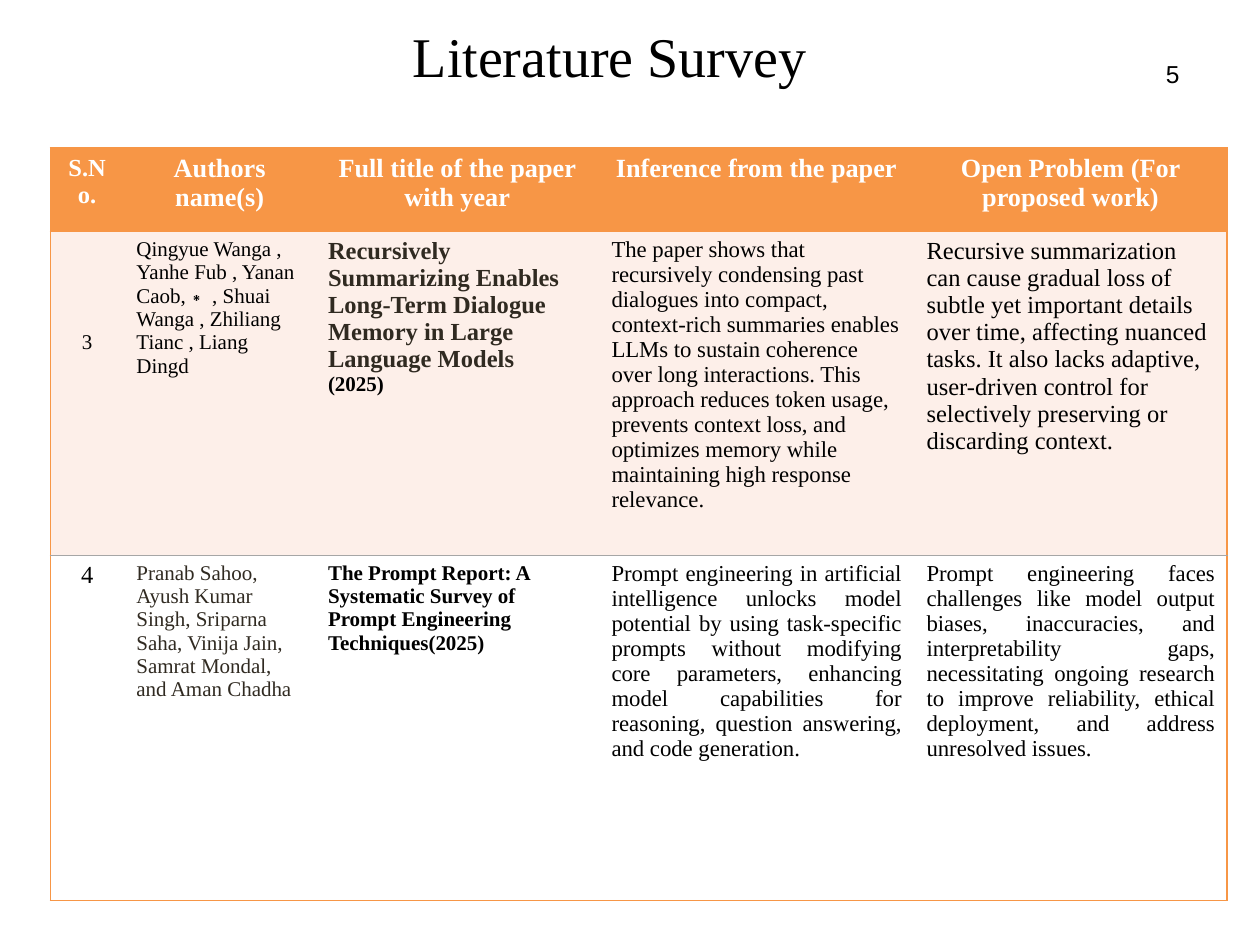
import dataclasses

import lxml.etree
import pptx
import pptx.dml.color
import pptx.enum.text
import pptx.oxml.ns
import pptx.util

Pt = pptx.util.Pt
ALIGN = pptx.enum.text.PP_ALIGN
ANCHOR = pptx.enum.text.MSO_ANCHOR


@dataclasses.dataclass(frozen=True)
class Theme:
    serif: str = "Times New Roman"
    sans: str = "Arial"
    black: str = "000000"
    white: str = "FFFFFF"
    brown: str = "302A21"
    orange: str = "F79646"
    blush: str = "FDEFE9"
    grey: str = "A6A6A6"
    title: int = 32
    heading: int = 15
    large: int = 14
    medium: int = 13
    small: int = 12


THEME = Theme()


@dataclasses.dataclass(frozen=True)
class Words:
    text: str
    size: int = THEME.small
    color: str = THEME.black
    bold: bool = False
    align: ALIGN = ALIGN.LEFT
    font: str = THEME.serif


HEADINGS = [
    Words(text, size, THEME.white, True, ALIGN.CENTER)
    for text, size in [
        ("S.No.", THEME.large),
        ("Authors name(s)", THEME.heading),
        ("Full title of the paper with year", THEME.heading),
        ("Inference from the paper", THEME.heading),
        ("Open Problem (For proposed work)", THEME.heading),
    ]
]
PAPERS = [
    [
        [Words("3", align=ALIGN.CENTER)],
        [Words("Qingyue Wanga , Yanhe Fub , Yanan Caob,∗ , Shuai Wanga , Zhiliang Tianc , Liang Dingd")],
        [
            Words("Recursively Summarizing Enables Long-Term Dialogue Memory in Large Language Models",
                  THEME.large, THEME.brown, True),
            Words("(2025)", bold=True),
        ],
        [Words("The paper shows that recursively condensing past dialogues into compact, "
               "context-rich summaries enables LLMs to sustain coherence over long interactions. "
               "This approach reduces token usage, prevents context loss, and optimizes memory "
               "while maintaining high response relevance.", THEME.medium)],
        [Words("Recursive summarization can cause gradual loss of subtle yet important details "
               "over time, affecting nuanced tasks. It also lacks adaptive, user-driven control "
               "for selectively preserving or discarding context.", THEME.large)],
    ],
    [
        [Words("4", THEME.large, align=ALIGN.CENTER)],
        [Words("Pranab Sahoo, Ayush Kumar Singh, Sriparna Saha, Vinija Jain, Samrat Mondal, "
               "and Aman Chadha", color=THEME.brown)],
        [Words("The Prompt Report: A Systematic Survey of Prompt Engineering Techniques(2025)",
               bold=True)],
        [Words("Prompt engineering in artificial intelligence unlocks model potential by using "
               "task-specific prompts without modifying core parameters, enhancing model "
               "capabilities for reasoning, question answering, and code generation.",
               THEME.medium, align=ALIGN.JUSTIFY)],
        [Words("Prompt engineering faces challenges like model output biases, inaccuracies, and "
               "interpretability gaps, necessitating ongoing research to improve reliability, "
               "ethical deployment, and address unresolved issues.",
               THEME.medium, align=ALIGN.JUSTIFY)],
    ],
]


def write(text_frame, lines):
    for index, words in enumerate(lines):
        paragraph = text_frame.add_paragraph() if index else text_frame.paragraphs[0]
        paragraph.alignment = words.align
        run = paragraph.add_run()
        run.text = words.text
        run.font.name = words.font
        run.font.size = Pt(words.size)
        run.font.bold = words.bold
        run.font.color.rgb = pptx.dml.color.RGBColor.from_string(words.color)


def place(shape, box):
    shape.left, shape.top, shape.width, shape.height = map(Pt, box)


def set_insets(text_frame, inset):
    text_frame.margin_left = text_frame.margin_right = Pt(inset)
    text_frame.margin_top = text_frame.margin_bottom = Pt(inset)


def set_borders(cell, borders):
    properties = cell._tc.get_or_add_tcPr()
    qualified = pptx.oxml.ns.qn
    for index, side in enumerate(("lnL", "lnR", "lnT", "lnB")):
        line = lxml.etree.Element(qualified(f"a:{side}"))
        if side in borders:
            color, width = borders[side]
            line.set("w", str(Pt(width)))
            fill = lxml.etree.SubElement(line, qualified("a:solidFill"))
            lxml.etree.SubElement(fill, qualified("a:srgbClr"), val=color)
        else:
            lxml.etree.SubElement(line, qualified("a:noFill"))
        properties.insert(index, line)


def add_title(slide, box):
    title = slide.shapes.title
    place(title, box)
    text_frame = title.text_frame
    set_insets(text_frame, 3.6)
    text_frame.vertical_anchor = ANCHOR.MIDDLE
    write(text_frame, [Words("Literature Survey", THEME.title, align=ALIGN.CENTER)])


def add_page_number(slide, box):
    text_frame = slide.shapes.add_textbox(*map(Pt, box)).text_frame
    text_frame.word_wrap = False
    set_insets(text_frame, 3.6)
    write(text_frame, [Words("5", THEME.large, align=ALIGN.RIGHT, font=THEME.sans)])


def add_survey_table(slide, box):
    column_widths = [42, 109.5, 162, 180, 179]
    row_heights = [47.8, 185, 197.2]
    row_fills = [THEME.orange, THEME.blush, THEME.white]
    rows = [[[heading] for heading in HEADINGS]] + PAPERS
    last_row, last_column = len(rows) - 1, len(column_widths) - 1
    outline, divider = (THEME.orange, 1), (THEME.grey, 0.5)

    table = slide.shapes.add_table(len(rows), len(column_widths), *map(Pt, box)).table
    table.horz_banding = False
    for column, width in zip(table.columns, column_widths):
        column.width = Pt(width)
    for row_index, (cells, height) in enumerate(zip(rows, row_heights)):
        table.rows[row_index].height = Pt(height)
        for column_index, lines in enumerate(cells):
            cell = table.cell(row_index, column_index)
            cell.fill.solid()
            cell.fill.fore_color.rgb = pptx.dml.color.RGBColor.from_string(row_fills[row_index])
            write(cell.text_frame, lines)
            borders = {
                "lnT": divider if row_index == last_row else outline,
                "lnB": divider if row_index == last_row - 1 else outline,
            }
            if column_index == 0:
                borders["lnL"] = outline
            if column_index == last_column:
                borders["lnR"] = outline
            set_borders(cell, borders)
    table.cell(1, 0).margin_top = Pt(57)


def main():
    presentation = pptx.Presentation()
    presentation.slide_width, presentation.slide_height = Pt(720), Pt(540)
    slide = presentation.slides.add_slide(presentation.slide_layouts[5])
    add_title(slide, (78.5, 0, 540, 63))
    add_page_number(slide, (661.7, 30.2, 16, 23))
    add_survey_table(slide, (28.8, 84.5, 672.5, 430))
    presentation.save("out.pptx")


if __name__ == "__main__":
    main()
